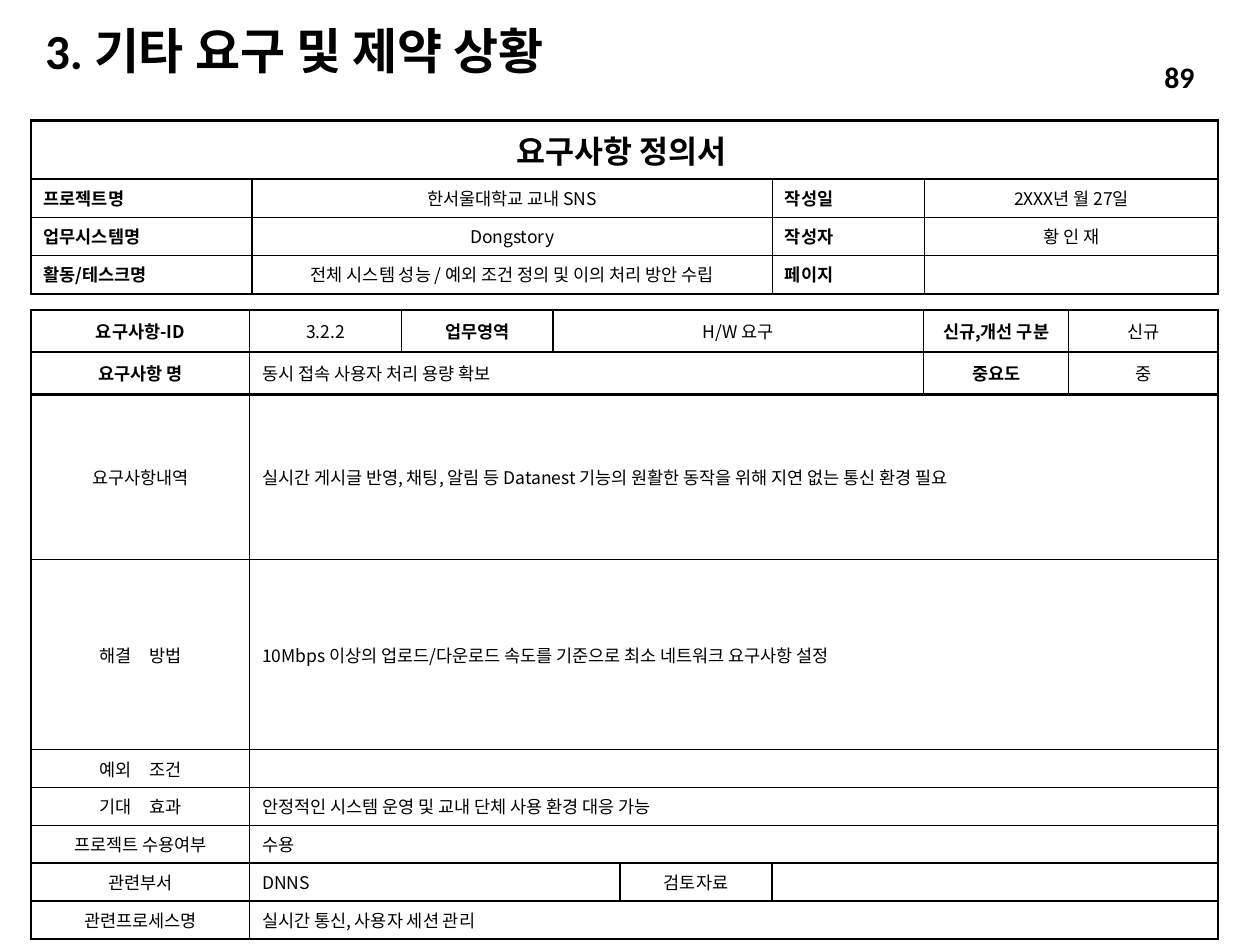
"""Build the requirement definition slide with its two form tables."""
from lxml import etree
from pptx import Presentation
from pptx.dml.color import RGBColor
from pptx.enum.text import MSO_ANCHOR, PP_ALIGN
from pptx.oxml.ns import qn
from pptx.util import Cm, Pt

BLACK = RGBColor(0, 0, 0)
LEFT, MID, RIGHT, JUST = PP_ALIGN.LEFT, PP_ALIGN.CENTER, PP_ALIGN.RIGHT, PP_ALIGN.JUSTIFY
TOP, CENTER = MSO_ANCHOR.TOP, MSO_ANCHOR.MIDDLE
SANS = "Noto Sans CJK KR"
THIN, THICK = Pt(1), Pt(1.5)

STYLES = {
    "title": (LEFT, {"name": "Calibri", "size": Pt(28), "bold": True}),
    "page": (RIGHT, {"name": "Calibri", "size": Pt(17), "bold": True}),
    "form": (MID, {"name": SANS, "size": Pt(18), "bold": True}),
    "head": (MID, {"name": SANS, "size": Pt(10), "bold": True}),
    "label": (JUST, {"name": SANS, "size": Pt(10), "bold": True}),
    "value": (MID, {"name": SANS, "size": Pt(10), "bold": False}),
    "body": (LEFT, {"name": SANS, "size": Pt(10), "bold": False}),
}

DETAIL = {
    "top": 6.25,
    "cols": [4.4, 3.06, 3.06, 1.35, 3.06, 3.06, 2.92, 3.02],
    "rows": [0.85, 0.85, 3.33, 3.83] + [0.69] * 5,
    "thick": {0, 1, 2, 9},
    "anchors": [CENTER] * 9,
    "cells": [
        [("요구사항-ID", 1, "head"), ("3.2.2", 1, "value"), ("업무영역", 1, "head"),
         ("H/W 요구", 3, "value"), ("신규,개선 구분", 1, "head"), ("신규", 1, "value")],
        [("요구사항 명", 1, "head"), ("동시 접속 사용자 처리 용량 확보", 5, "body"),
         ("중요도", 1, "head"), ("중", 1, "value")],
        [("요구사항내역", 1, "value"),
         ("실시간 게시글 반영, 채팅, 알림 등 Datanest 기능의 원활한 동작을 위해 지연 없는 통신 환경 필요",
          7, "body")],
        [("해결　방법", 1, "value"),
         ("10Mbps 이상의 업로드/다운로드 속도를 기준으로 최소 네트워크 요구사항 설정", 7, "body")],
        [("예외　조건", 1, "value"), ("", 7, "body")],
        [("기대　효과", 1, "value"),
         ("안정적인 시스템 운영 및 교내 단체 사용 환경 대응 가능", 7, "body")],
        [("프로젝트 수용여부", 1, "value"), ("수용", 7, "body")],
        [("관련부서", 1, "value"), ("DNNS", 3, "body"),
         ("검토자료", 1, "value"), ("", 3, "body")],
        [("관련프로세스명", 1, "value"), ("실시간 통신, 사용자 세션 관리", 7, "body")],
    ],
}

HEADER = {
    "top": 2.43,
    "cols": [4.45, 10.49, 3.07, 5.92],
    "rows": [1.18] + [0.77] * 3,
    "thick": {0, 4},
    "anchors": [CENTER] + [TOP] * 3,
    "cells": [
        [("요구사항 정의서 ", 4, "form")],
        [("프로젝트명", 1, "label"), ("한서울대학교 교내 SNS", 1, "value"),
         ("작성일", 1, "label"), ("2XXX년 월 27일", 1, "value")],
        [("업무시스템명 ", 1, "label"), ("Dongstory", 1, "value"),
         ("작성자", 1, "label"), ("황 인 재", 1, "value")],
        [("활동/테스크명", 1, "label"),
         ("전체 시스템 성능 / 예외 조건 정의 및 이의 처리 방안 수립", 1, "value"),
         ("페이지", 1, "label"), ("", 1, "value")],
    ],
}


def write(frame, text, style):
    align, form = STYLES[style]
    para = frame.paragraphs[0]
    para.alignment = align
    if not text:
        para._p.get_or_add_endParaRPr().set("sz", str(int(form["size"].pt * 100)))
        return para
    run = para.add_run()
    run.text = text
    for key, val in form.items():
        setattr(run.font, key, val)
    run.font.color.rgb = BLACK
    etree.SubElement(run._r.get_or_add_rPr(), qn("a:ea"), typeface=SANS)
    return para


def border(cell, sides):
    props = cell._tc.get_or_add_tcPr()
    for spot, (side, width) in enumerate(sides.items()):
        line = etree.Element(qn("a:ln" + side), w=str(width))
        fill = etree.SubElement(line, qn("a:solidFill"))
        etree.SubElement(fill, qn("a:srgbClr"), val=str(BLACK))
        props.insert(spot, line)


deck = Presentation()
deck.slide_width, deck.slide_height = Cm(25.4), Cm(19.05)
slide = deck.slides.add_slide(deck.slide_layouts[6])

for form in (DETAIL, HEADER):
    cols, rows = form["cols"], form["rows"]
    table = slide.shapes.add_table(
        len(rows), len(cols), Cm(0.63), Cm(form["top"]), Cm(sum(cols)), Cm(sum(rows))).table
    table.first_row = table.horz_banding = False
    for col, width in zip(table.columns, cols):
        col.width = Cm(width)
    for row, height in zip(table.rows, rows):
        row.height = Cm(height)
    for r, items in enumerate(form["cells"]):
        c = 0
        for text, span, style in items:
            cell = table.cell(r, c)
            end = c + span
            if span > 1:
                cell.merge(table.cell(r, end - 1))
            cell.vertical_anchor = form["anchors"][r]
            cell.fill.background()
            para = write(cell.text_frame, text, style)
            gap = etree.SubElement(para._p.get_or_add_pPr(), qn("a:spcBef"))
            etree.SubElement(gap, qn("a:spcPct"), val="20000")
            border(cell, {
                "L": THIN if c else THICK,
                "R": THICK if end == len(cols) else THIN,
                "T": THICK if r in form["thick"] else THIN,
                "B": THICK if r + 1 in form["thick"] else THIN,
            })
            c = end

for text, style, box, space in (
    ("3. 기타 요구 및 제약 상황", "title", (0.66, 0.53, 13.61, 1.12), 0.9),
    ("89", "page", (20.22, 1.04, 4.11, 1.02), 1.0),
):
    frame = slide.shapes.add_textbox(*map(Cm, box)).text_frame
    frame.word_wrap = True
    frame.vertical_anchor = CENTER
    write(frame, text, style).line_spacing = space

deck.save("out.pptx")
